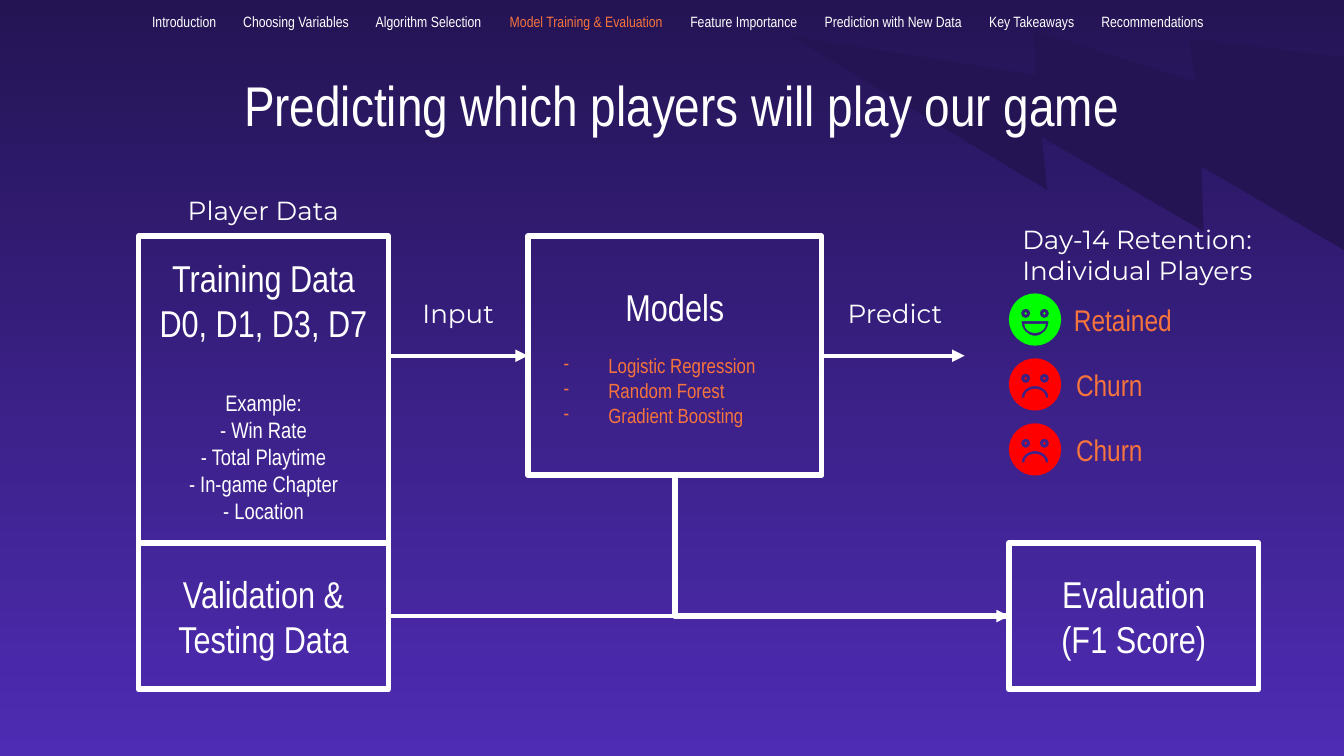
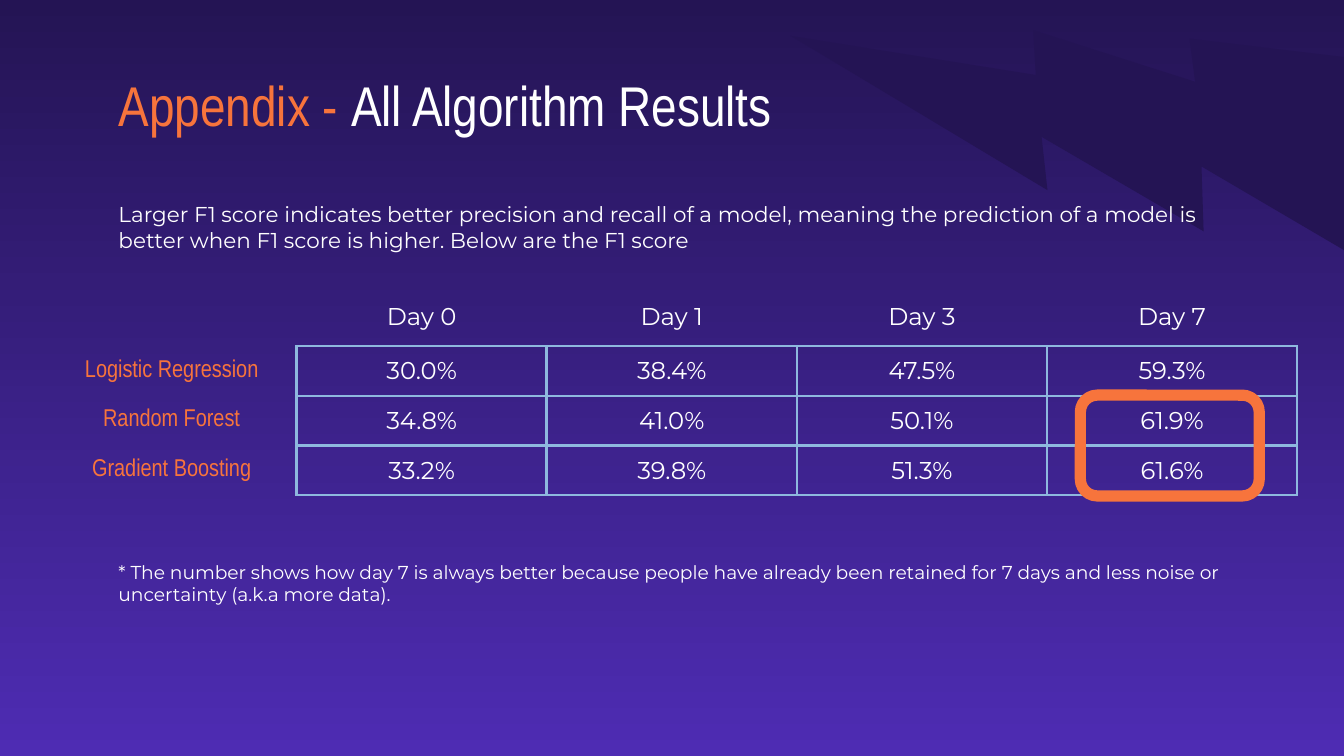
from math import cos, pi, radians, sin, tan

from lxml.etree import SubElement
from pptx import Presentation
from pptx.dml.color import RGBColor
from pptx.enum.shapes import MSO_CONNECTOR as CONN, MSO_SHAPE as SHAPE
from pptx.enum.text import MSO_ANCHOR as ANCHOR, MSO_AUTO_SIZE as AUTO, PP_ALIGN as ALIGN
from pptx.oxml.ns import qn
from pptx.util import Pt

NARROW, SANS = "Arial Narrow", "Montserrat"
WHITE, ORANGE, NIGHT, VIOLET = "FFFFFF", "F7743C", "241454", "4E2CB3"
GRID, GREEN, RED = "8EB8DE", "00FF00", "FF0000"
NO_STYLE_TABLE = "{2D5ABB26-0587-4C30-8999-92F81FD0307C}"
TITLE_BOX = (56.4, 30.6, 617.8, 46)

NAV = [
    ("Introduction", 0), ("Choosing Variables", 48.8),
    ("Algorithm Selection", 119.8), ("Model Training & Evaluation", 191.6),
    ("Feature Importance", 288.3), ("Prediction with New Data", 360.3),
    ("Key Takeaways", 448.4), ("Recommendations", 508.5),
]
MODELS = ["Logistic Regression", "Random Forest", "Gradient Boosting"]
F1_SCORES = [
    ["", "Day 0", "Day 1", "Day 3", "Day 7"],
    [MODELS[0], "30.0%", "38.4%", "47.5%", "59.3%"],
    [MODELS[1], "34.8%", "41.0%", "50.1%", "61.9%"],
    [MODELS[2], "33.2%", "39.8%", "51.3%", "61.6%"],
]


def rgb(color):
    return RGBColor.from_string(color)


def pts(values):
    return [Pt(v) for v in values]


def set_values(obj, values):
    for name, value in values.items():
        setattr(obj, name, value)


def set_xml(element, **attributes):
    for name, value in attributes.items():
        element.set(name, str(value))


def add_run(p, text, size, color=WHITE, font=NARROW):
    r = p.add_run()
    r.text = text
    set_values(r.font, {"size": Pt(size), "name": font, "bold": False})
    r.font.color.rgb = rgb(color)


def add_paragraphs(tf, texts, size, color=WHITE, font=NARROW, align=ALIGN.CENTER, gap=0):
    """Append one paragraph per text, with a gap above the first; newlines break lines."""
    added = []
    for i, text in enumerate(texts):
        p = tf.paragraphs[-1] if not tf.paragraphs[-1].runs else tf.add_paragraph()
        set_values(p, {"alignment": align, "space_after": Pt(0),
                       "space_before": Pt(0 if i else gap)})
        for j, line in enumerate(text.split("\n")):
            if j:
                p.add_line_break()
            add_run(p, line, size, color, font)
        added.append(p)
    return added


def format_frame(tf, anchor=ANCHOR.MIDDLE, inset=7.2):
    set_values(tf, {"word_wrap": True, "auto_size": AUTO.NONE, "vertical_anchor": anchor})
    set_values(tf, {f"margin_{side}": Pt(inset)
                    for side in ("left", "top", "right", "bottom")})
    return tf


def add_text(slide, box, text, size, anchor=ANCHOR.MIDDLE, **style):
    tf = format_frame(slide.shapes.add_textbox(*pts(box)).text_frame, anchor)
    add_paragraphs(tf, [text], size, **style)


def add_outline(slide, kind, box, color, width):
    sp = slide.shapes.add_shape(kind, *pts(box))
    sp.shadow.inherit = False
    sp.fill.background()
    sp.line.color.rgb = rgb(color)
    sp.line.width = Pt(width)
    return sp


def fill_plain(sp, color):
    sp.shadow.inherit = False
    sp.fill.solid()
    sp.fill.fore_color.rgb = rgb(color)
    sp.line.fill.background()


def add_box(slide, box, texts):
    sp = add_outline(slide, SHAPE.RECTANGLE, box, WHITE, 3)
    add_paragraphs(format_frame(sp.text_frame), texts, 20)
    return sp


def add_bullets(tf, texts, size, gap):
    for p in add_paragraphs(tf, texts, size, ORANGE, align=ALIGN.LEFT, gap=gap):
        pPr = p._p.get_or_add_pPr()
        set_xml(pPr, marL=Pt(36), indent=Pt(-24))
        SubElement(SubElement(pPr, qn("a:buClr")), qn("a:srgbClr"), val=ORANGE)
        SubElement(pPr, qn("a:buSzPts"), val=str(size * 100))
        SubElement(pPr, qn("a:buFont"), typeface=NARROW)
        SubElement(pPr, qn("a:buChar"), char="-")


def add_line(slide, ends, kind=CONN.STRAIGHT, width=2.25, begin=None, end=None, arrow=True):
    """Draw a line; begin and end are (shape, side) pairs to join."""
    cxn = slide.shapes.add_connector(kind, *pts(ends))
    if begin:
        cxn.begin_connect(*begin)
    if end:
        cxn.end_connect(*end)
    cxn.line.color.rgb = rgb(WHITE)
    cxn.line.width = Pt(width)
    if arrow:
        SubElement(cxn.line._get_or_add_ln(), qn("a:tailEnd"), type="triangle")
    SubElement(cxn.element.spPr, qn("a:effectLst"))
    return cxn


def add_down_right_elbow(slide, begin, end):
    """Join a bottom side to a left side with a single bend."""
    cxn = add_line(slide, (0, 0, 1, 1), CONN.ELBOW, 3, begin, end, arrow=False)
    x1, y1, x2, y2 = cxn.begin_x, cxn.begin_y, cxn.end_x, cxn.end_y
    dx, dy = x2 - x1, y2 - y1
    set_values(cxn, {"left": (x1 + x2 - dy) // 2, "top": (y1 + y2 - dx) // 2,
                     "width": dy, "height": dx})
    spPr = cxn.element.spPr
    set_xml(spPr.find(qn("a:xfrm")), rot=270 * 60000, flipH=1)
    set_xml(spPr.find(qn("a:prstGeom")), prst="bentConnector2")


def arc(x, y, rx, ry, start=0, quarters=4):
    """Return a start point and one cubic curve per quarter turn, backwards if negative."""
    step = pi / 2 if quarters > 0 else -pi / 2
    k = 4 / 3 * tan(step / 4)

    def point(a, pull=0):
        return x + rx * (cos(a) - pull * sin(a)), y + ry * (sin(a) + pull * cos(a))

    angles = [radians(start) + step * i for i in range(abs(quarters) + 1)]
    return [(point(angles[0]),)] + [(point(a, k), point(b, -k), point(b))
                                    for a, b in zip(angles, angles[1:])]


def add_curves(shapes, cx, cy, contours, color):
    """Draw closed contours, with inner ones as holes, around a centre."""
    placed = [[[(Pt(cx + x), Pt(cy + y)) for x, y in seg] for seg in c] for c in contours]
    builder = shapes.build_freeform(*placed[0][0][0])
    for i, contour in enumerate(placed):
        if i:
            builder.move_to(*contour[0][0])
        builder.add_line_segments([seg[-1] for seg in contour[1:]], close=True)
    sp = builder.convert_to_shape()
    segments = [seg for contour in placed for seg in contour[1:]]
    for step, seg in zip(list(sp.element.iter(qn("a:lnTo"))), segments):
        if len(seg) == 3:
            curve = SubElement(step.getparent(), qn("a:cubicBezTo"))
            for x, y in seg:
                SubElement(curve, qn("a:pt"), x=str(x - sp.left), y=str(y - sp.top))
            step.getparent().replace(step, curve)
    fill_plain(sp, color)


def add_face(slide, cx, cy, color, happy):
    shapes = slide.shapes.add_group_shape().shapes
    eyes = [(-5, -3.3), (5, -3.3)]
    if happy:
        mouth = arc(0, 0.9, 7.2, 7.8, 0, 2)
    else:
        mouth = arc(0, 7, 7.2, 6.1, 180, 2) + arc(0, 7, 5.8, 4.7, 0, -2)
    disc = [arc(x, y, 2.5, 2.5) for x, y in eyes] + [mouth, arc(0, 0, 14, 14)]
    add_curves(shapes, cx, cy, disc, color)
    for x, y in eyes:
        add_curves(shapes, cx, cy, [arc(x, y, 0.75, 0.75)], color)
    if happy:
        add_curves(shapes, cx, cy, [arc(0, 2.3, 5.8, 4.9, 0, 2)], color)


def add_master_bolt(prs):
    """Draw the dark lightning bolt, then move it to the back of the master."""
    sp = prs.slides[0].shapes.add_shape(SHAPE.LIGHTNING_BOLT, *pts((470.2, -59.8, 259, 259)))
    fill_plain(sp, NIGHT)
    sp.rotation = 61
    set_xml(sp.element.spPr.find(qn("a:xfrm")), flipH=1)
    set_xml(sp.element.nvSpPr.cNvPr, id=99)
    prs.slide_master.shapes.element.insert(2, sp.element)


def add_slide(prs, title_runs, align):
    slide = prs.slides.add_slide(prs.slide_layouts[5])
    title = slide.shapes.title
    set_values(title, dict(zip(("left", "top", "width", "height"), pts(TITLE_BOX))))
    p = format_frame(title.text_frame, ANCHOR.TOP).paragraphs[0]
    p.alignment = align
    for text, color in title_runs:
        add_run(p, text, 30, color)
    return slide


def add_nav(slide, current):
    sp = slide.shapes.add_textbox(*pts((81.5, 6.1, 636.5, 10.8)))
    p = format_frame(sp.text_frame, inset=0).paragraphs[0]
    tabs = SubElement(p._p.get_or_add_pPr(), qn("a:tabLst"))
    for name, x in NAV:
        if x:
            SubElement(tabs, qn("a:tab"), pos=str(Pt(x)), algn="l")
        add_run(p, ("\t" if x else "") + name, 8, ORANGE if name == current else WHITE)


def add_borders(cell, sides):
    tcPr = cell._tc.get_or_add_tcPr()
    for side in sides:
        ln = SubElement(tcPr, qn(f"a:ln{side}"), w=str(Pt(1.5)))
        SubElement(SubElement(ln, qn("a:solidFill")), qn("a:srgbClr"), val=GRID)


def add_score_table(slide, left, top, col_width, head_height, row_height):
    rows, cols = len(F1_SCORES), len(F1_SCORES[0])
    height = head_height + row_height * (rows - 1)
    frame = slide.shapes.add_table(rows, cols, *pts((left, top, col_width * cols, height)))
    table = frame.table
    set_values(table, {"first_row": False, "horz_banding": False})
    next(frame.element.iter(qn("a:tableStyleId"))).text = NO_STYLE_TABLE
    for i, row in enumerate(F1_SCORES):
        table.rows[i].height = Pt(row_height if i else head_height)
        for j, text in enumerate(row):
            cell = table.cell(i, j)
            set_values(cell, {"vertical_anchor": ANCHOR.MIDDLE,
                              "margin_top": Pt(4), "margin_bottom": Pt(4)})
            add_borders(cell, "LRTB" if i and j else "R" if i else "B" if j else "")
            cell.fill.background()
            if text:
                style = {"font": SANS} if j else {"color": ORANGE}
                add_paragraphs(cell.text_frame, [text], 13, **style)


def build_prediction_slide(prs):
    slide = add_slide(prs, [("Predicting which players will play our game", WHITE)],
                      ALIGN.CENTER)
    add_nav(slide, "Model Training & Evaluation")
    validation = add_box(slide, (74.3, 290.8, 133.8, 78.5), ["Validation & Testing Data"])

    for i, outcome in enumerate(["Retained", "Churn", "Churn"]):
        y = 171.2 + 34.8 * i
        happy = outcome == "Retained"
        add_face(slide, 554.5, y, GREEN if happy else RED, happy)
        add_text(slide, (568.3 if happy else 569.4, y - 14, 89.3, 28), outcome, 16,
                 color=ORANGE, align=ALIGN.LEFT)

    training = add_box(slide, (74.3, 126.6, 133.8, 164.2),
                       ["Training Data", "D0, D1, D3, D7"])
    add_paragraphs(training.text_frame,
                   ["Example:\n- Win Rate\n- Total Playtime\n- In-game Chapter\n- Location"],
                   12, gap=24)
    models = add_box(slide, (282.8, 126.6, 157.4, 128), ["Models"])
    add_bullets(models.text_frame, MODELS, 11, gap=13)
    evaluation = add_box(slide, (540.5, 290.8, 133.8, 78.5), ["Evaluation\n(F1 Score)"])

    add_line(slide, (207.7, 190.6, 282.8, 190.6), end=(models, 1))
    add_line(slide, (440.2, 190.6, 516.8, 190.6), begin=(models, 3))
    add_line(slide, (208, 330, 540.5, 330), begin=(validation, 3), end=(evaluation, 1))
    add_down_right_elbow(slide, (models, 2), (evaluation, 1))

    for text, box, align in [
        ("Input", (208, 153.7, 75, 28), ALIGN.CENTER),
        ("Predict", (442, 153.7, 75, 28), ALIGN.CENTER),
        ("Day-14 Retention: Individual Players", (540.6, 122.5, 158, 28), ALIGN.LEFT),
        ("Player Data", (74.2, 98.6, 133.8, 28), ALIGN.CENTER),
    ]:
        add_text(slide, box, text, 14, font=SANS, align=align)


def build_appendix_slide(prs):
    slide = add_slide(prs, [("Appendix - ", ORANGE), ("All Algorithm Results", WHITE)],
                      ALIGN.LEFT)
    add_score_table(slide, 24.9, 154.1, 134, 31.4, 26.6)
    for text, box, size in [
        ("Larger F1 score indicates better precision and recall of a model, meaning the "
         "prediction of a model is better when F1 score is higher. Below are the F1 score",
         (56.4, 100.6, 607, 54), 11.5),
        ("* The number shows how day 7 is always better because people have already been "
         "retained for 7 days and less noise or uncertainty (a.k.a more data).",
         (56.4, 293, 638.6, 54), 10),
    ]:
        add_text(slide, box, text, size, ANCHOR.TOP, font=SANS, align=ALIGN.LEFT)
    add_outline(slide, SHAPE.ROUNDED_RECTANGLE, (578.8, 211.7, 95.8, 54), ORANGE, 6)


def main():
    prs = Presentation()
    prs.slide_width, prs.slide_height = pts((720, 405))
    fill = prs.slide_master.background.fill
    fill.gradient()
    fill.gradient_angle = 270
    for stop, color, position in zip(fill.gradient_stops, (NIGHT, VIOLET), (0, 1)):
        stop.color.rgb = rgb(color)
        stop.position = position
    build_prediction_slide(prs)
    build_appendix_slide(prs)
    add_master_bolt(prs)
    prs.save("out.pptx")


if __name__ == "__main__":
    main()
